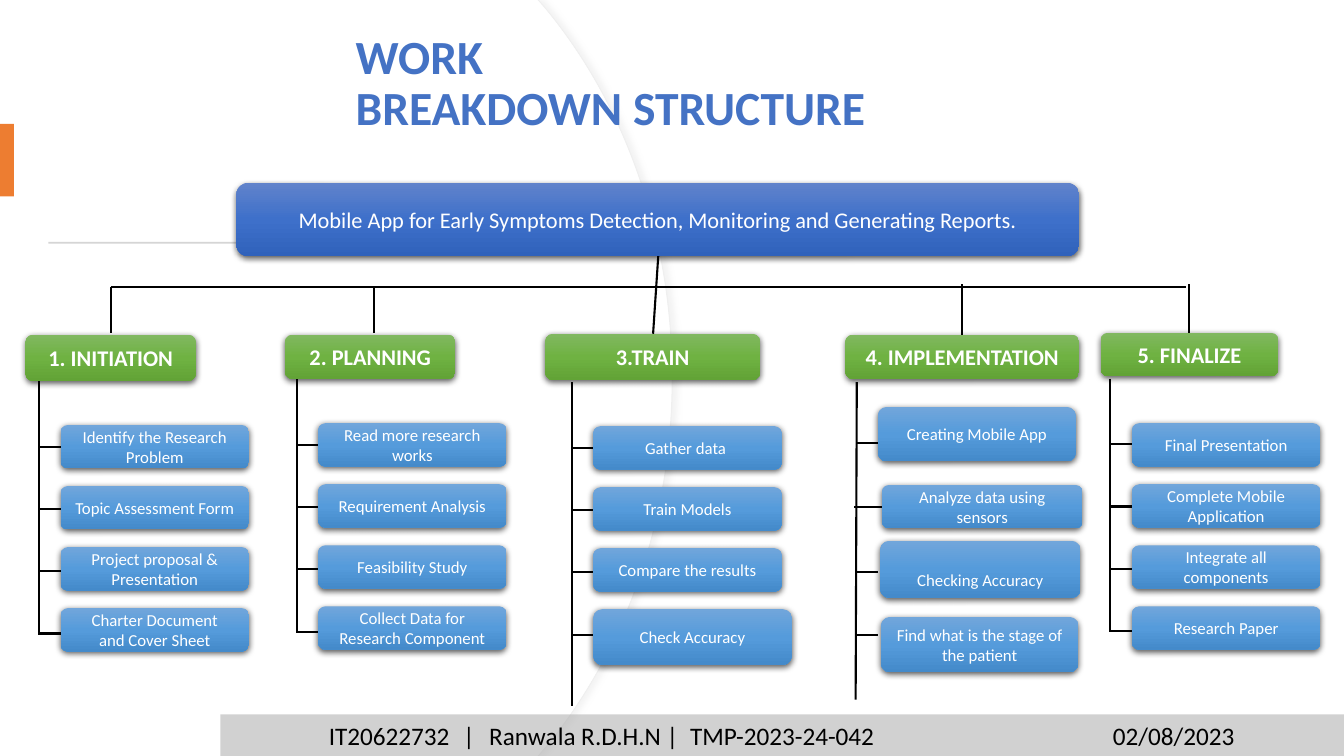
from copy import deepcopy
from dataclasses import dataclass
from typing import Any

from lxml.etree import SubElement
from pptx import Presentation
from pptx.dml.color import RGBColor
from pptx.enum.shapes import MSO_CONNECTOR as Connector, MSO_SHAPE as Preset
from pptx.enum.text import MSO_ANCHOR as Anchor, PP_ALIGN as Align
from pptx.oxml.ns import qn
from pptx.util import Pt

WHITE = RGBColor(0xFF, 0xFF, 0xFF)
BLACK = RGBColor(0, 0, 0)
TITLE_BLUE = RGBColor(0x44, 0x72, 0xC4)
ORANGE = RGBColor(0xED, 0x7D, 0x31)
RULE_GREY = RGBColor(0xD5, 0xD5, 0xD5)
ARC_GREY = RGBColor(0xEF, 0xEF, 0xEF)
ARC_SHADOW = RGBColor(0xD9, 0xD9, 0xD9)
FOOTER_GREY = RGBColor(0xA5, 0xA5, 0xA5)
PROJECT_BLUES = (RGBColor(0x61, 0x83, 0xCB), RGBColor(0x3E, 0x70, 0xCA), RGBColor(0x30, 0x62, 0xBB))
STAGE_GREENS = (RGBColor(0x81, 0xB8, 0x61), RGBColor(0x6F, 0xB2, 0x42), RGBColor(0x62, 0xA3, 0x36))
TASK_BLUES = (RGBColor(0x71, 0xA6, 0xDB), RGBColor(0x55, 0x9B, 0xDB), RGBColor(0x44, 0x8A, 0xCA))

PROJECT_FONT = {"name": "Calibri", "size": Pt(16), "bold": False}
STAGE_FONT = {"name": "Calibri", "size": Pt(16), "bold": True}
TASK_FONT = {"name": "Calibri", "size": Pt(12), "bold": False}
FOOTER_FONT = {"name": "Calibri", "size": Pt(18), "bold": False}
TITLE_FONT = {"name": "Calibri", "size": Pt(34), "bold": True}

HARD_SPACE = chr(160)
TASK_STEP = 43.6
TICK_STEP = 44.5
BUS_Y = 205.2


@dataclass(frozen=True)
class Box:
    left: float
    top: float
    width: float
    height: float


@dataclass(frozen=True)
class Task:
    label: str
    box: Box
    inset_top: float = 3.6


@dataclass(frozen=True)
class Line:
    x1: float
    y1: float
    x2: float
    y2: float


@dataclass(frozen=True)
class Stage:
    label: str
    box: Box
    spine: Line
    ticks: list[Line]
    tasks: list[Task]


def column(left: float, top: float, labels: list[str]) -> list[Task]:
    return [Task(label, Box(left, top + row * TASK_STEP, 134.6, 31)) for row, label in enumerate(labels)]


def ladder(right: float, left: float, top: float) -> list[Line]:
    levels = [top + row * TICK_STEP for row in range(4)]
    return [Line(right, level, left, level) for level in levels]


STAGES = [
    Stage("1. INITIATION", Box(18.2, 239, 121.7, 33.1), Line(28, 272.2, 28, 453.6), ladder(43.3, 28, 319),
          column(43.3, 303.6, ["Identify the Research Problem", "Topic Assessment Form",
                               "Project proposal & Presentation",
                               f"Charter Document and{HARD_SPACE}Cover Sheet"])),
    Stage("2. PLANNING", Box(203.6, 239, 121.7, 31.7), Line(212, 270.7, 212, 452.2), ladder(227.5, 212, 317.7),
          column(227.3, 302.3, ["Read more research works", "Requirement Analysis",
                                "Feasibility Study", "Collect Data for Research Component"])),
    Stage("3.TRAIN", Box(389.5, 238.4, 153.4, 33.1), Line(408.4, 272.9, 408.4, 504), ladder(424, 408.4, 319.8),
          column(423.8, 304.4, [f"Gather data{HARD_SPACE}", "Train Models", "Compare the results"])
          + [Task("Check Accuracy", Box(423.8, 435.1, 141.8, 39.9))]),
    Stage("4. IMPLEMENTATION", Box(603.8, 239, 167, 31.7), Line(612, 272.9, 611.2, 499.7),
          [Line(630, 316.6, 611.4, 316.6), Line(630, 362.2, 609.8, 362.2),
           Line(627.1, 408.7, 612, 408.7), Line(627.1, 453.3, 612, 453.3)],
          [Task("Creating Mobile App", Box(627.1, 290.6, 141.4, 39)),
           Task("Checking Accuracy", Box(628.6, 386.2, 143.3, 41), 18),
           Task("Analyze data using sensors", Box(630, 346.4, 143.3, 31)),
           Task("Find what is the stage of the patient", Box(629.3, 440.6, 141.1, 39.6))]),
    Stage("5. FINALIZE", Box(786.3, 237.7, 126.7, 31), Line(792.7, 270.7, 792.7, 451.4), ladder(808.6, 792.7, 317.3),
          column(808.6, 302.3, ["Final Presentation", "Complete Mobile Application",
                                "Integrate all components", "Research Paper"])),
]

ARC_OUTLINE = [(384.5, 0), (389.5, 5.8), (445.7, 73.4), (480.2, 167), (480.2, 270),
               (480.2, 373), (445.7, 466.6), (389.5, 534.2), (384.5, 540)]

deck = Presentation()
deck.slide_width, deck.slide_height = Pt(960), Pt(540)
slide = deck.slides.add_slide(deck.slide_layouts[6])
shapes = slide.shapes


def assign(target: Any, values: dict[str, Any]) -> None:
    for name, value in values.items():
        setattr(target, name, value)


def cast_shadow(shape: Any, color: RGBColor, opacity: int, blur: float, distance: float, angle: int) -> None:
    effects = shape._element.spPr.find(qn("a:effectLst"))
    shadow = SubElement(effects, qn("a:outerShdw"), blurRad=str(Pt(blur)), dist=str(Pt(distance)),
                        dir=str(angle * 60000), algn="ctr", rotWithShape="0")
    tint = SubElement(shadow, qn("a:srgbClr"), val=str(color))
    SubElement(tint, qn("a:alpha"), val=str(opacity * 1000))


def add_panel(preset: Preset, box: Box, color: RGBColor | None = None) -> Any:
    panel = shapes.add_shape(preset, Pt(box.left), Pt(box.top), Pt(box.width), Pt(box.height))
    panel.shadow.inherit = False
    panel.line.fill.background()
    if color is not None:
        panel.fill.solid()
        panel.fill.fore_color.rgb = color
    return panel


def write(shape: Any, text: str, font: dict[str, Any], color: RGBColor, align: Align) -> Any:
    frame = shape.text_frame
    assign(frame, {"text": text, "word_wrap": True, "vertical_anchor": Anchor.MIDDLE})
    paragraph = frame.paragraphs[0]
    paragraph.alignment = align
    assign(paragraph.runs[0].font, font)
    paragraph.runs[0].font.color.rgb = color
    return paragraph


def add_card(box: Box, shades: tuple[RGBColor, ...], text: str, font: dict[str, Any],
             inset_top: float = 3.6) -> None:
    card = add_panel(Preset.ROUNDED_RECTANGLE, box)
    card.fill.gradient()
    card.fill.gradient_angle = 270
    stop_list = card._element.spPr.find(".//" + qn("a:gsLst"))
    stop_list.insert(1, deepcopy(stop_list[0]))
    for stop, shade, position in zip(card.fill.gradient_stops, shades, (0, 0.5, 1)):
        stop.color.rgb = shade
        stop.position = position
    cast_shadow(card, BLACK, 63, 4.5, 1.5, 90)
    write(card, text, font, WHITE, Align.CENTER)
    card.text_frame.margin_top = Pt(inset_top)


def add_link(line: Line) -> None:
    link = shapes.add_connector(Connector.STRAIGHT, Pt(line.x1), Pt(line.y1), Pt(line.x2), Pt(line.y2))
    link.line.color.rgb = BLACK
    link.line.width = Pt(1.5)
    SubElement(link._element.spPr, qn("a:effectLst"))


def add_arc(shift: float) -> Any:
    builder = shapes.build_freeform(0, 0)
    builder.add_line_segments([(Pt(x - shift), Pt(y)) for x, y in ARC_OUTLINE] + [(0, Pt(540))], close=True)
    arc = builder.convert_to_shape()
    segments = arc._element.spPr.findall(".//" + qn("a:lnTo"))
    for first in (2, 5):
        curve = SubElement(segments[first].getparent(), qn("a:cubicBezTo"))
        segments[first].addprevious(curve)
        for segment in segments[first:first + 3]:
            curve.append(segment[0])
            segment.getparent().remove(segment)
    arc.shadow.inherit = False
    arc.fill.solid()
    arc.fill.fore_color.rgb = WHITE
    arc.line.fill.background()
    return arc


def add_branch(stage: Stage) -> None:
    for line in (stage.spine, *stage.ticks):
        add_link(line)
    for task in stage.tasks:
        add_card(task.box, TASK_BLUES, task.label, TASK_FONT, task.inset_top)


def main() -> None:
    edge = add_arc(0)
    edge.line.color.rgb = ARC_GREY
    edge.line.width = Pt(0.75)
    cast_shadow(edge, ARC_SHADOW, 30, 4, 3, 0)
    add_arc(0.7)

    title = shapes.add_textbox(Pt(247), Pt(11.5), Pt(467.3), Pt(98))
    write(title, f"WORK BREAKDOWN{HARD_SPACE}STRUCTURE", TITLE_FONT, TITLE_BLUE, Align.LEFT).line_spacing = 0.9
    add_panel(Preset.RECTANGLE, Box(0, 88.5, 10, 51.8), ORANGE)
    add_panel(Preset.RECTANGLE, Box(34.6, 172.7, 392.4, 1.4), RULE_GREY)

    add_card(Box(168.8, 130.5, 602, 52.5), PROJECT_BLUES,
             "Mobile App for Early Symptoms Detection, Monitoring and Generating Reports.", PROJECT_FONT)
    add_link(Line(470.2, 183, 466.5, 238.4))
    add_link(Line(79.2, BUS_Y, 847, BUS_Y))
    for x, top, bottom in ((79.2, BUS_Y, 237.7), (267, BUS_Y, 237.7), (687, 203, 239), (849.5, 203, 237.7)):
        add_link(Line(x, top, x, bottom))
    for stage in STAGES:
        add_card(stage.box, STAGE_GREENS, stage.label, STAGE_FONT)
    for stage in STAGES:
        add_branch(stage)

    footer = add_panel(Preset.RECTANGLE, Box(157.5, 510.3, 802.5, 29.7), FOOTER_GREY)
    SubElement(footer._element.spPr.find(".//" + qn("a:srgbClr")), qn("a:alpha"), val="50000")
    credits = write(footer, "IT20622732\t|\tRanwala R.D.H.N |\tTMP-2023-24-042\t02/08/2023",
                    FOOTER_FONT, BLACK, Align.LEFT)
    assign(footer.text_frame, {"margin_left": Pt(77.4), "margin_right": Pt(0)})
    tabs = SubElement(credits._p.get_or_add_pPr(), qn("a:tabLst"))
    for position in (96, 114.5, 258, 560):
        SubElement(tabs, qn("a:tab"), pos=str(Pt(position)), algn="l")
    deck.save("out.pptx")


if __name__ == "__main__":
    main()
